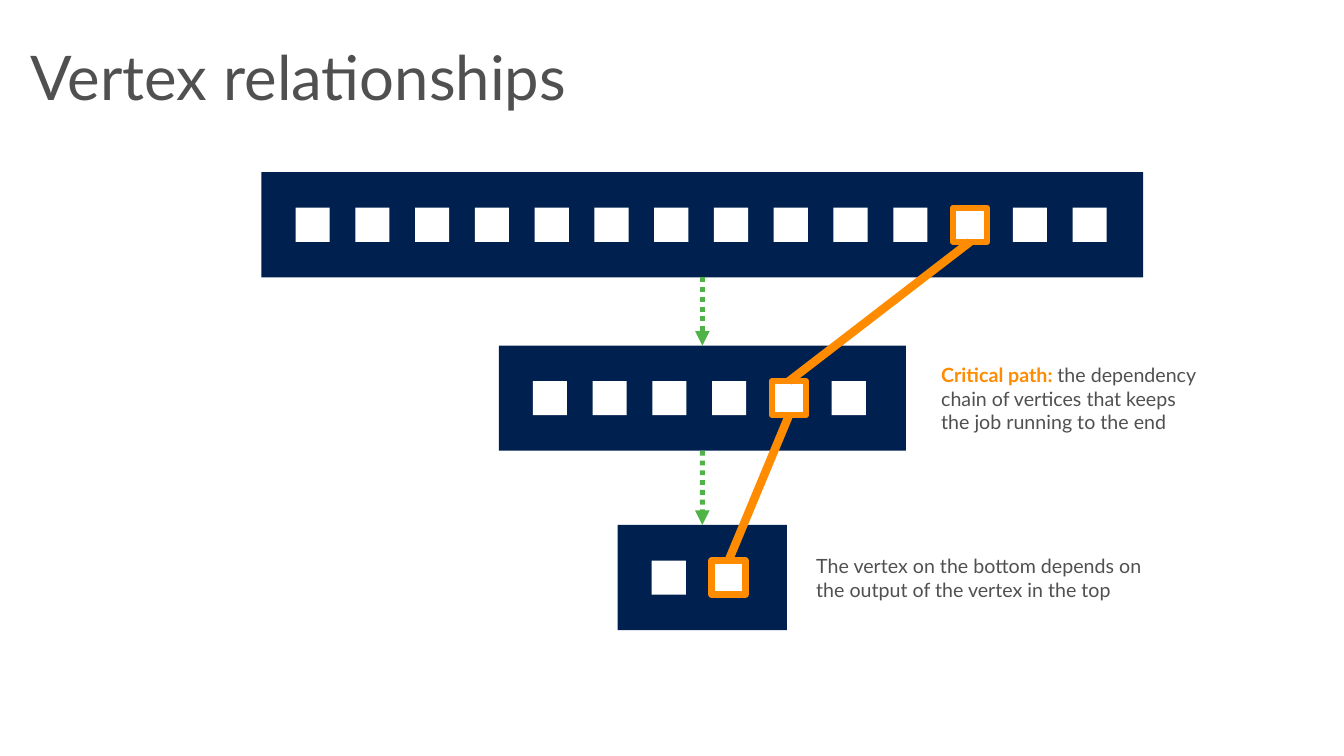
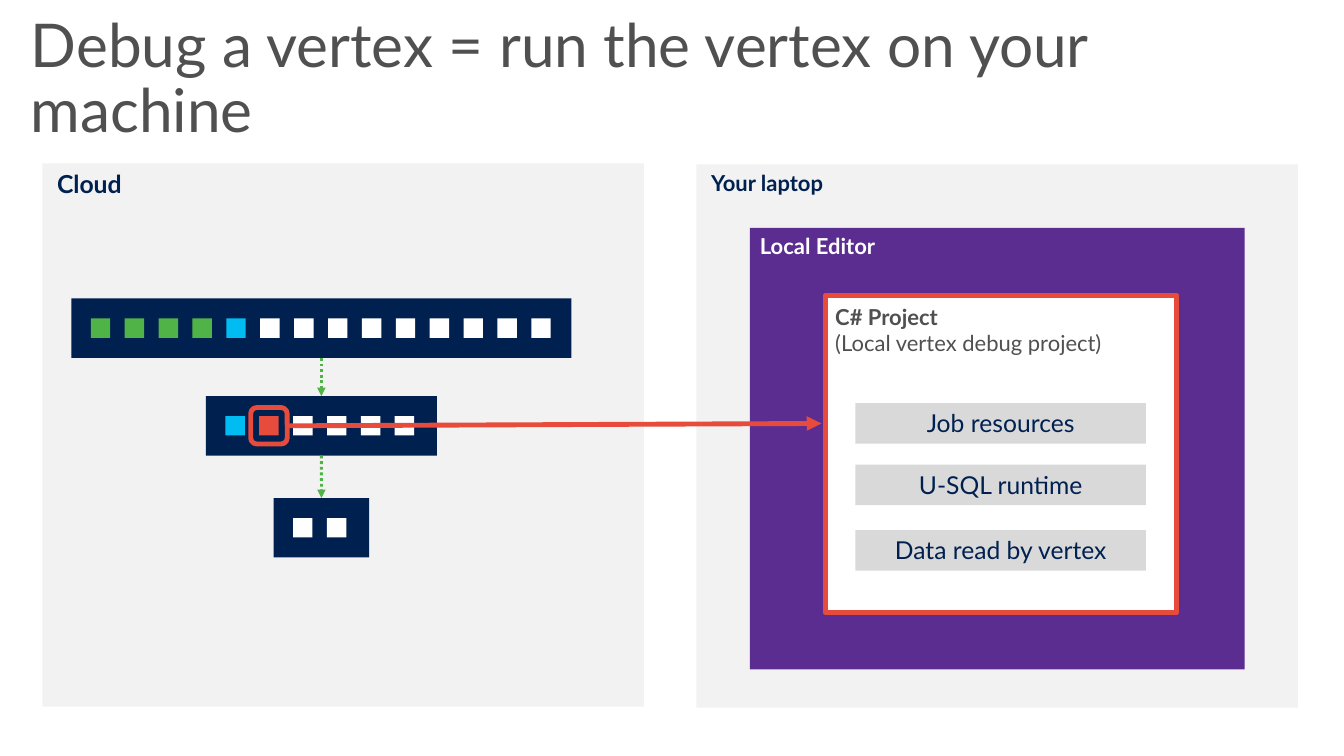
from lxml.etree import SubElement
from pptx import Presentation
from pptx.dml.color import RGBColor
from pptx.enum.dml import MSO_LINE
from pptx.enum.shapes import MSO_CONNECTOR, MSO_SHAPE
from pptx.enum.text import MSO_ANCHOR, PP_ALIGN
from pptx.oxml.ns import qn
from pptx.util import Cm, Pt

FONT = "Lato"
COLORS = {
    "navy": "002050", "white": "FFFFFF", "green": "50B347", "orange": "FF8C00",
    "blue": "00BCF2", "red": "E74B3C", "grey": "505050", "panel": "F2F2F2",
    "bar": "D9D9D9", "purple": "5C2D91",
}
TOP, LEFT, BOTTOM, RIGHT = range(4)  # connection sites of a rectangle

# Lengths in cm. "span" runs from the first to the last vertex of the widest stage.
# A stage is (top, width, vertex colours).
RELATIONSHIPS = {
    "center": 17.7, "height": 2.65, "vertex": 0.86, "pad": 0.86, "span": 19.58,
    "arrow": 3.5,
    "stages": [
        (4.34, 22.22, ["white"] * 14),
        (8.71, 10.26, ["white"] * 6),
        (13.23, 4.27, ["white"] * 2),
    ],
}
CRITICAL_PATH = [11, 4, 1]  # index of the critical vertex in each stage
NOTES = [
    (20.32, 13.84, 9.09, 1.45,
     [("The vertex on the bottom depends on the output of the vertex in the top", {})]),
    (23.47, 9.02, 7.24, 2.06,
     [("Critical path: ", {"color": "orange", "bold": True}),
      ("the dependency chain of vertices that keeps the job running to the end", {})]),
]

CLOUD_JOB = {
    "center": 8.1, "height": 1.5, "vertex": 0.49, "pad": 0.49, "span": 11.1,
    "arrow": 2,
    "stages": [
        (7.52, 12.6, ["green"] * 4 + ["blue"] + ["white"] * 9),
        (9.98, 5.82, ["blue", "red"] + ["white"] * 4),
        (12.55, 2.41, ["white"] * 2),
    ],
}
FAILED_STAGE, FAILED_VERTEX = 1, 1
FRAME_SIZE = 0.92
PANEL_SIZE = (15.16, 13.69)
CLOUD_PANEL = (1.07, 4.12, "Cloud", 17.7)
LAPTOP_PANEL = (17.55, 4.14, "Your laptop", 15.7)
PROJECT_PARTS = [(10.16, "Job resources"), (11.71, "U-SQL runtime"),
                 (13.36, "Data read by vertex")]


def rgb(name):
    return RGBColor.from_string(COLORS[name])


def style_font(font, color=None, size=None, bold=None):
    if color:
        font.color.rgb = rgb(color)
    if size:
        font.size = Pt(size)
    if bold is not None:
        font.bold = bold


def write(sp, paragraphs, size, color, bold=False, align=PP_ALIGN.LEFT,
          anchor=MSO_ANCHOR.TOP, insets=(0.25, 0.13), spacing=None):
    """Fill a shape with paragraphs, each a list of (text, run style) pairs."""
    tf = sp.text_frame
    tf.word_wrap = True
    tf.vertical_anchor = anchor
    tf.margin_left, tf.margin_top = (Cm(v) for v in insets)
    tf.margin_right, tf.margin_bottom = Cm(0.25), Cm(0.13)
    for i, runs in enumerate(paragraphs):
        p = tf.paragraphs[0] if i == 0 else tf.add_paragraph()
        p.alignment = align
        if spacing:
            p.line_spacing = spacing
        p.font.name = FONT
        style_font(p.font, color, size, bold)
        for text, style in runs:
            r = p.add_run()
            r.text = text
            style_font(r.font, **style)


def add_box(slide, x, y, w, h, fill=None, line=None, width=0,
            kind=MSO_SHAPE.RECTANGLE):
    sp = slide.shapes.add_shape(kind, Cm(x), Cm(y), Cm(w), Cm(h))
    sp.shadow.inherit = False
    if fill:
        sp.fill.solid()
        sp.fill.fore_color.rgb = rgb(fill)
    else:
        sp.fill.background()
    if line:
        sp.line.color.rgb = rgb(line)
        sp.line.width = Pt(width)
    else:
        sp.line.fill.background()
    return sp


def outline(sp, color, width):
    """Give a shape an outline with round corners."""
    sp.line.color.rgb = rgb(color)
    sp.line.width = Pt(width)
    SubElement(sp.line._get_or_add_ln(), qn("a:round"))


def add_line(slide, color, width, start, end, dash=None, arrow=False):
    """Each end is a (shape, site) pair or an (x, y) point in cm."""
    c = slide.shapes.add_connector(MSO_CONNECTOR.STRAIGHT, 0, 0, 0, 0)
    if isinstance(end[0], (int, float)):
        c.end_x, c.end_y = (Cm(v) for v in end)
    else:
        c.end_connect(*end)
    c.begin_connect(*start)
    c.line.color.rgb = rgb(color)
    c.line.width = Pt(width)
    if dash:
        c.line.dash_style = dash
    if arrow:
        SubElement(c.line._get_or_add_ln(), qn("a:tailEnd"), type="triangle")
    SubElement(c._element.spPr, qn("a:effectLst"))
    return c


def add_title(slide, text, size):
    sp = slide.shapes.add_textbox(Cm(0.53), Cm(0.84), Cm(32.6), Cm(2.39))
    write(sp, [[(text, {})]], size, "grey", anchor=MSO_ANCHOR.MIDDLE, spacing=0.9)


def add_job(slide, job):
    """Draw the stages of a job and return their vertices, stage by stage."""
    size, height = job["vertex"], job["height"]
    pitch = job["span"] / (len(job["stages"][0][2]) - 1)
    bars, vertices = [], []
    for top, width, colors in job["stages"]:
        left = job["center"] - width / 2
        bars.append(add_box(slide, left, top, width, height, "navy"))
        vertices.append([
            add_box(slide, left + job["pad"] + i * pitch, top + (height - size) / 2,
                    size, size, color)
            for i, color in enumerate(colors)])
    for upper, lower in zip(bars, bars[1:]):
        add_line(slide, "green", job["arrow"], (upper, BOTTOM), (lower, TOP),
                 MSO_LINE.ROUND_DOT, arrow=True)
    return vertices


def add_panel(slide, x, y, label, size):
    sp = add_box(slide, x, y, *PANEL_SIZE, "panel")
    write(sp, [[(label, {})]], size, "navy", bold=True, insets=(0.37, 0.13))


def build_relationships(slide):
    vertices = add_job(slide, RELATIONSHIPS)
    critical = [row[i] for row, i in zip(vertices, CRITICAL_PATH)]
    for sp in critical:
        outline(sp, "orange", 4.5)
    for upper, lower in zip(critical, critical[1:]):
        add_line(slide, "orange", 6, (upper, BOTTOM), (lower, TOP))
    for x, y, w, h, runs in NOTES:
        sp = slide.shapes.add_textbox(Cm(x), Cm(y), Cm(w), Cm(h))
        write(sp, [runs], 14, "grey")
    add_title(slide, "Vertex relationships", 44)


def build_debugging(slide):
    add_panel(slide, *CLOUD_PANEL)
    failed = add_job(slide, CLOUD_JOB)[FAILED_STAGE][FAILED_VERTEX]
    margin = (FRAME_SIZE - CLOUD_JOB["vertex"]) / 2
    frame = add_box(slide, failed.left.cm - margin, failed.top.cm - margin,
                    FRAME_SIZE, FRAME_SIZE, line="red", width=3.5,
                    kind=MSO_SHAPE.ROUNDED_RECTANGLE)

    add_panel(slide, *LAPTOP_PANEL)
    editor = add_box(slide, 18.9, 5.74, 12.47, 11.13, "purple")
    write(editor, [[("Local Editor", {})]], 15.7, "white", bold=True)
    project = add_box(slide, 20.8, 7.44, 8.86, 8, "white", "red", 3.5)
    write(project, [[("C# Project", {"bold": True})],
                    [("(Local vertex debug project)", {})]],
          15.7, "grey", insets=(0.25, 0.2))
    add_line(slide, "red", 3.5, (frame, RIGHT), (20.7, 10.67), arrow=True)
    for y, label in PROJECT_PARTS:
        sp = add_box(slide, 21.56, y, 7.32, 1.02, "bar")
        write(sp, [[(label, {})]], 17.6, "navy", align=PP_ALIGN.CENTER)
    add_title(slide, "Debug a vertex = run the vertex on your machine", 43.1)


def main():
    prs = Presentation()
    prs.slide_width, prs.slide_height = Cm(33.87), Cm(19.05)
    for build in (build_relationships, build_debugging):
        build(prs.slides.add_slide(prs.slide_layouts[6]))
    prs.save("out.pptx")


if __name__ == "__main__":
    main()
